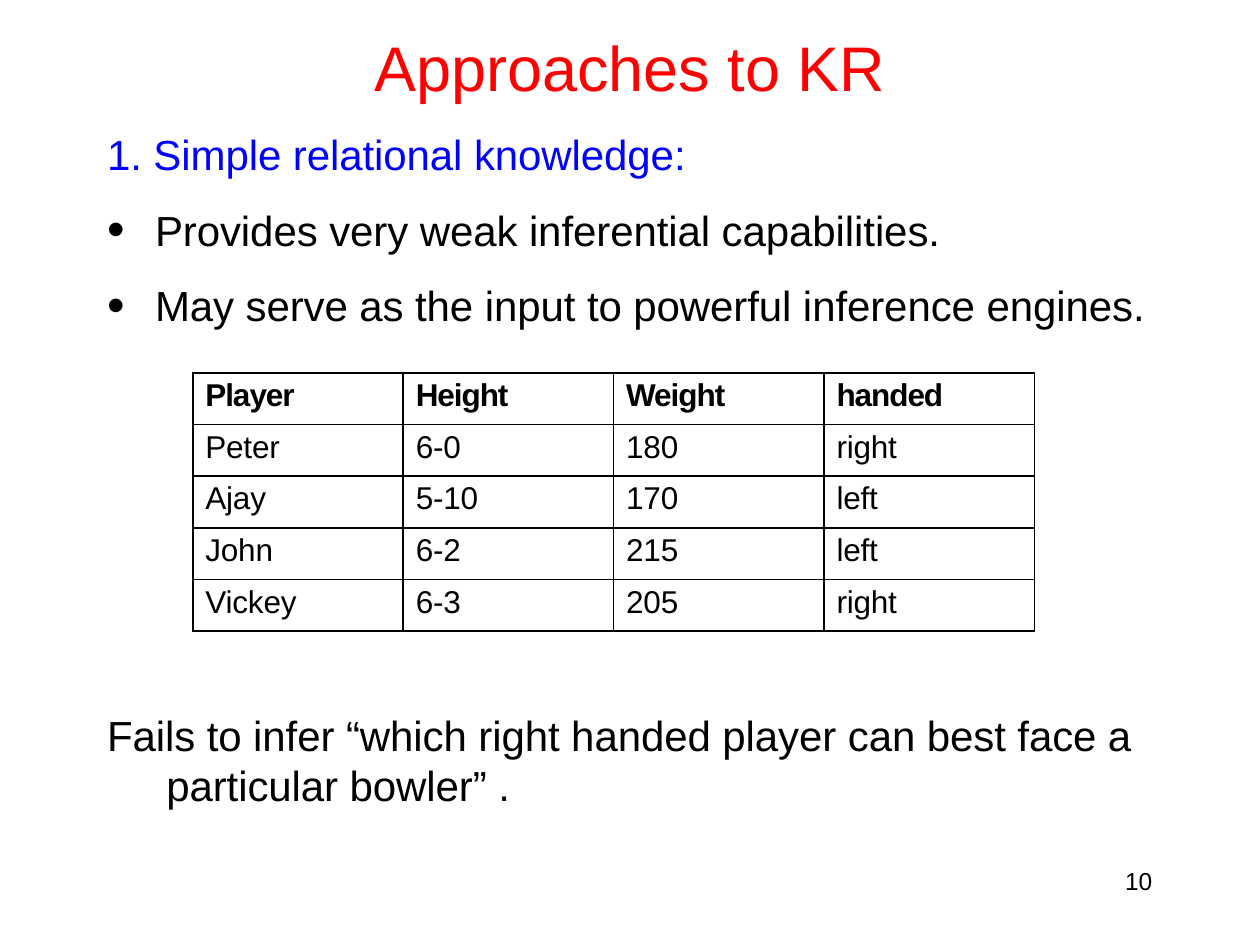
from lxml import etree
from pptx import Presentation
from pptx.dml.color import RGBColor
from pptx.enum.text import MSO_AUTO_SIZE
from pptx.oxml.ns import qn
from pptx.util import Inches, Pt

FIT_SHAPE = MSO_AUTO_SIZE.SHAPE_TO_FIT_TEXT
BLACK = RGBColor(0x00, 0x00, 0x00)
RED = RGBColor(0xFF, 0x00, 0x00)
BLUE = RGBColor(0x00, 0x00, 0xFF)
FONT = "Arial"

TITLE = "Approaches to KR"
HEADING = "1. Simple relational knowledge:"
BULLETS = [
    "Provides very weak inferential capabilities.",
    "May serve as the input to powerful inference engines.",
]
PLAYERS = [
    ("Player", "Height", "Weight", "handed"),
    ("Peter", "6-0", "180", "right"),
    ("Ajay", "5-10", "170", "left"),
    ("John", "6-2", "215", "left"),
    ("Vickey", "6-3", "205", "right"),
]
CONCLUSION = "Fails to infer “which right handed player can best face a particular bowler” ."
PAGE_NUMBER = "10"

TEXT_LEFT = 0.84
TABLE_LEFT, TABLE_TOP = 1.53, 2.96
COLUMN_WIDTH, ROW_HEIGHT = 1.67, 0.41


def add_box(page, left, top, width, height, inset=0.01):
    frame = page.shapes.add_textbox(*map(Inches, (left, top, width, height))).text_frame
    frame.word_wrap = True
    frame.auto_size = FIT_SHAPE
    frame.margin_left = frame.margin_right = frame.margin_bottom = 0
    frame.margin_top = Inches(inset)
    return frame


def write(para, text, size, color=BLACK, before=1, left=0.01, first=0, spacing=-0.05, bold=False):
    span = para.add_run()
    span.text = text
    span.font._element.set("spc", str(round(spacing * 100)))
    para.font.name, para.font.size, para.font.bold = FONT, Pt(size), bold
    para.font.color.rgb = color
    para.space_before = Pt(before)
    properties = para._p.get_or_add_pPr()
    properties.set("marL", str(Inches(left)))
    properties.set("indent", str(Inches(first)))


def add_bullet(para):
    properties = para._p.get_or_add_pPr()
    marks = [("a:buSzPct", "val", "119000"), ("a:buFont", "typeface", FONT), ("a:buChar", "char", "•")]
    position = [child.tag for child in properties].index(qn("a:defRPr"))
    for offset, (tag, key, value) in enumerate(marks):
        mark = etree.Element(qn(tag))
        mark.set(key, value)
        properties.insert(position + offset, mark)


def add_borders(cell):
    properties = cell._tc.get_or_add_tcPr()
    for position, side in enumerate(("a:lnL", "a:lnR", "a:lnT", "a:lnB")):
        line = etree.Element(qn(side), w=str(Pt(1)))
        fill = etree.SubElement(line, qn("a:solidFill"))
        etree.SubElement(fill, qn("a:srgbClr"), val=str(BLACK))
        properties.insert(position, line)


def add_players(page):
    rows, columns = len(PLAYERS), len(PLAYERS[0])
    size = COLUMN_WIDTH * columns, ROW_HEIGHT * rows
    table = page.shapes.add_table(rows, columns, *map(Inches, (TABLE_LEFT, TABLE_TOP, *size))).table
    table.first_row = table.horz_banding = False
    for column in table.columns:
        column.width = Inches(COLUMN_WIDTH)
    for row_index, values in enumerate(PLAYERS):
        table.rows[row_index].height = Inches(ROW_HEIGHT)
        header = row_index == 0
        for column_index, value in enumerate(values):
            cell = table.cell(row_index, column_index)
            cell.margin_left = cell.margin_right = cell.margin_bottom = 0
            cell.margin_top = Inches(0.04)
            cell.fill.background()
            add_borders(cell)
            write(cell.text_frame.paragraphs[0], value, 18, before=2.9, left=0.1,
                  spacing=-0.6 if header else -0.1, bold=header)


def main():
    deck = Presentation()
    deck.slide_width, deck.slide_height = Inches(10), Inches(7.5)
    page = deck.slides.add_slide(deck.slide_layouts[6])

    title = add_box(page, 2.96, 0.22, 4.09, 0.63)
    write(title.paragraphs[0], TITLE, 36, RED, spacing=0)

    body = add_box(page, TEXT_LEFT, 0.9, 8.29, 1.75, inset=0.12)
    write(body.paragraphs[0], HEADING, 24, BLUE, before=9)
    for text in BULLETS:
        para = body.add_paragraph()
        write(para, text, 24, before=14.4, left=0.39, first=-0.38)
        add_bullet(para)

    add_players(page)

    conclusion = add_box(page, TEXT_LEFT, 5.62, 8.2, 0.83)
    write(conclusion.paragraphs[0], CONCLUSION, 24, left=0.48, first=-0.47)

    number = add_box(page, 8.92, 6.86, 0.24, 0.26)
    write(number.paragraphs[0], PAGE_NUMBER, 14, spacing=-0.1)

    deck.save("out.pptx")


if __name__ == "__main__":
    main()
